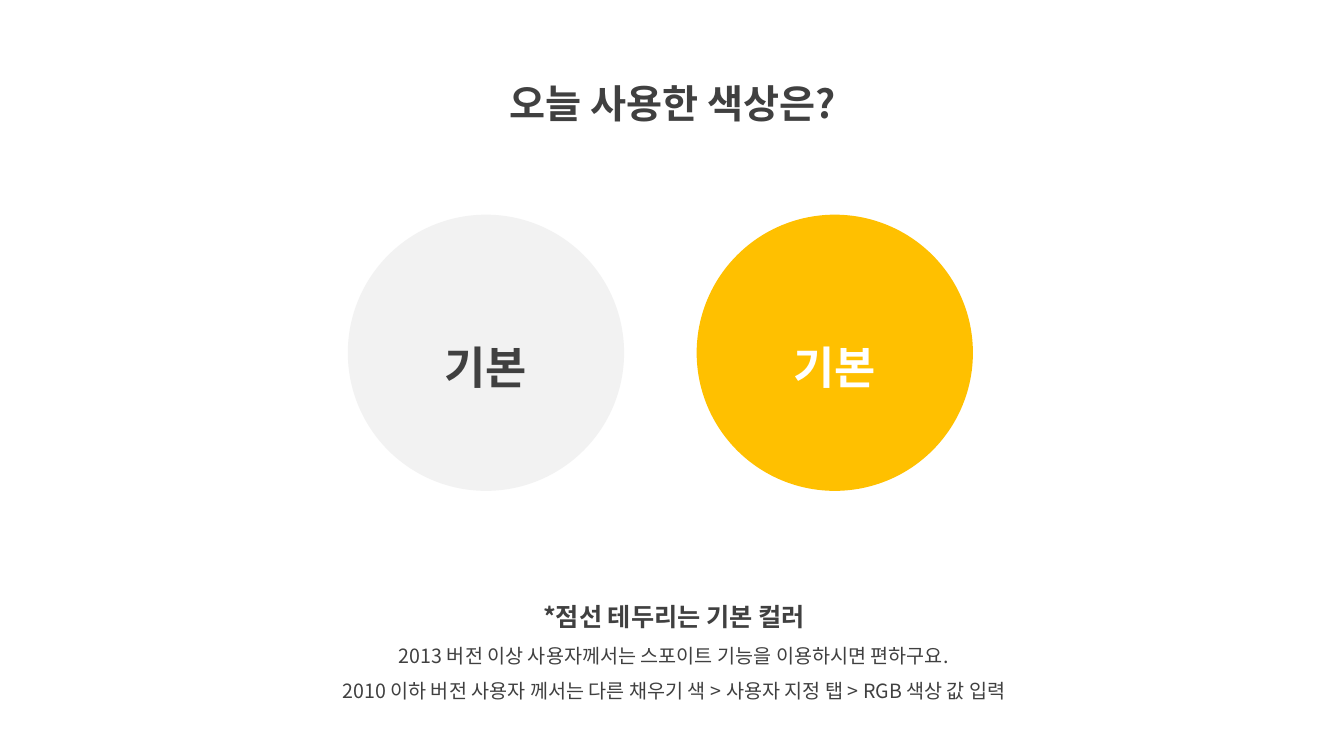
"""Build the slide that shows the two colours used today."""
from lxml import etree
from pptx import Presentation
from pptx.dml.color import RGBColor
from pptx.enum.shapes import MSO_SHAPE
from pptx.enum.text import MSO_ANCHOR, MSO_AUTO_SIZE, PP_ALIGN
from pptx.oxml.ns import qn
from pptx.util import Inches, Pt

ELLIPSE = MSO_SHAPE.OVAL
CENTER = PP_ALIGN.CENTER
TOP, MIDDLE = MSO_ANCHOR.TOP, MSO_ANCHOR.MIDDLE
GROW = MSO_AUTO_SIZE.SHAPE_TO_FIT_TEXT
FONT = "Noto Sans CJK KR"
COLORS = {"text": "404040", "gray": "F2F2F2", "yellow": "FFC000", "white": "FFFFFF"}


def write_line(p, text, size, color="text", bold=True):
    p.alignment = CENTER
    p.line_spacing = 1.5
    p.space_before = Pt(0)
    r = p.add_run()
    r.text = text
    r.font.size = Pt(size)
    r.font.bold = bold
    r.font.color.rgb = RGBColor.from_string(COLORS[color])
    r.font.name = FONT
    etree.SubElement(r.font._element, qn("a:ea")).set("typeface", FONT)


def place(sp, left, top, width, height):
    sp.left, sp.top = Inches(left), Inches(top)
    sp.width, sp.height = Inches(width), Inches(height)
    tf = sp.text_frame
    tf.word_wrap = True
    tf.auto_size = GROW
    tf.vertical_anchor = TOP
    return tf


prs = Presentation()
prs.slide_width, prs.slide_height = Inches(13.33), Inches(7.5)
s = prs.slides.add_slide(prs.slide_layouts[1])

tf = place(s.shapes.title, 4.36, 0.5, 4.63, 0.72)
write_line(tf.paragraphs[0], "오늘 사용한 색상은?", 28)

notes = [
    ("*점선 테두리는 기본 컬러", 18, True),
    ("2013 버전 이상 사용자께서는 스포이트 기능을 이용하시면 편하구요.", 14, False),
    ("2010 이하 버전 사용자 께서는 다른 채우기 색 > 사용자 지정 탭 > RGB 색상 값 입력", 14, False),
]
tf = place(s.placeholders[1], 2.69, 5.77, 7.99, 1.26)
for i, (text, size, bold) in enumerate(notes):
    p = tf.add_paragraph() if i else tf.paragraphs[0]
    write_line(p, text, size, bold=bold)
    pPr = p._p.get_or_add_pPr()
    pPr.set("marL", "0")
    pPr.set("indent", "0")
    etree.SubElement(pPr, qn("a:buNone"))

for i, (fill, color) in enumerate([("gray", "text"), ("yellow", "white")]):
    sp = s.shapes.add_shape(ELLIPSE, Inches(3.45 + i * 3.46), Inches(2.13), Inches(2.74), Inches(2.74))
    sp.shadow.inherit = False
    sp.fill.solid()
    sp.fill.fore_color.rgb = RGBColor.from_string(COLORS[fill])
    sp.line.fill.background()
    tf = sp.text_frame
    tf.vertical_anchor = MIDDLE
    write_line(tf.paragraphs[0], "기본", 32, color)

prs.save("out.pptx")
